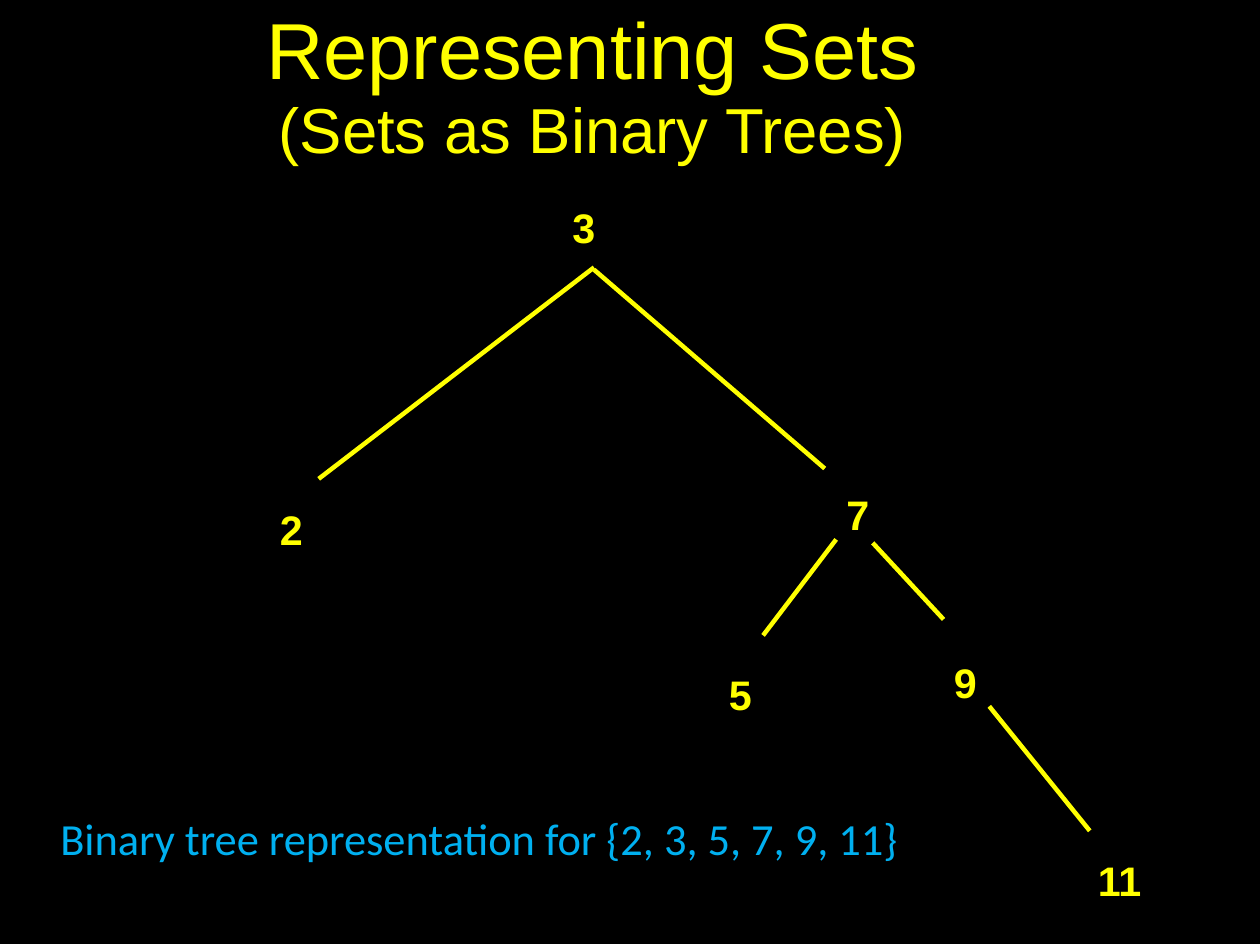
from pptx import Presentation
from pptx.dml.color import RGBColor
from pptx.enum.shapes import MSO_CONNECTOR
from pptx.enum.text import MSO_ANCHOR, PP_ALIGN
from pptx.oxml.ns import qn
from pptx.util import Inches, Pt
from lxml import etree

LINE = MSO_CONNECTOR.STRAIGHT
TOP = MSO_ANCHOR.TOP
LEFT = PP_ALIGN.LEFT
YELLOW = "FFFF00"
BLUE = "00B0F0"


def paint(fill, color):
    fill.solid()
    fill.fore_color.rgb = RGBColor.from_string(color)


def write(box, text, size, color=YELLOW, face="Arial", bold=False, inset=(0, 0.03)):
    frame = box.text_frame
    frame.margin_left = frame.margin_right = Inches(inset[0])
    frame.margin_top = frame.margin_bottom = Inches(inset[1])
    frame.vertical_anchor = TOP
    frame.word_wrap = False
    para = frame.paragraphs[0]
    para.text = text
    para.alignment = LEFT
    para.font.size = Pt(size)
    para.font.name = face
    para.font.bold = bold
    paint(para.font.fill, color)


deck = Presentation()
deck.slide_width = Inches(11.03)
deck.slide_height = Inches(8.26)
slide = deck.slides.add_slide(deck.slide_layouts[5])
paint(slide.background.fill, "000000")
shapes = slide.shapes

title = shapes.title
title.left, title.top = Inches(2.33), Inches(-0.03)
title.width, title.height = Inches(5.74), Inches(0.86)
write(title, "Representing Sets", 50)

edges = [
    (5.2, 2.34, 2.79, 4.19),
    (5.2, 2.36, 7.22, 4.1),
    (7.64, 4.75, 8.26, 5.42),
    (7.32, 4.72, 6.68, 5.56),
    (8.66, 6.18, 9.54, 7.27),
]
for edge in edges:
    line = shapes.add_connector(LINE, *[Inches(v) for v in edge])
    line.line.width = Pt(2.83)
    paint(line.line.fill, YELLOW)
    etree.SubElement(line._element.spPr, qn("a:effectLst"))

nodes = [
    ("3", 5.01, 1.74),
    ("2", 2.45, 4.38),
    ("7", 7.41, 4.25),
    ("5", 6.38, 5.83),
    ("9", 8.35, 5.72),
    ("11", 9.61, 7.45),
]
for label, left, top in nodes:
    width = 0.21 * len(label)
    node = shapes.add_textbox(Inches(left), Inches(top), Inches(width), Inches(0.46))
    write(node, label, 26, bold=True)

subtitle = shapes.add_textbox(Inches(2.44), Inches(0.76), Inches(5.52), Inches(0.7))
write(subtitle, "(Sets as Binary Trees)", 40)

caption = shapes.add_textbox(Inches(0.43), Inches(7.05), Inches(7.62), Inches(0.57))
write(caption, "Binary tree representation for {2, 3, 5, 7, 9, 11}", 28, BLUE, "Calibri", inset=(0.1, 0.05))

deck.save("out.pptx")
